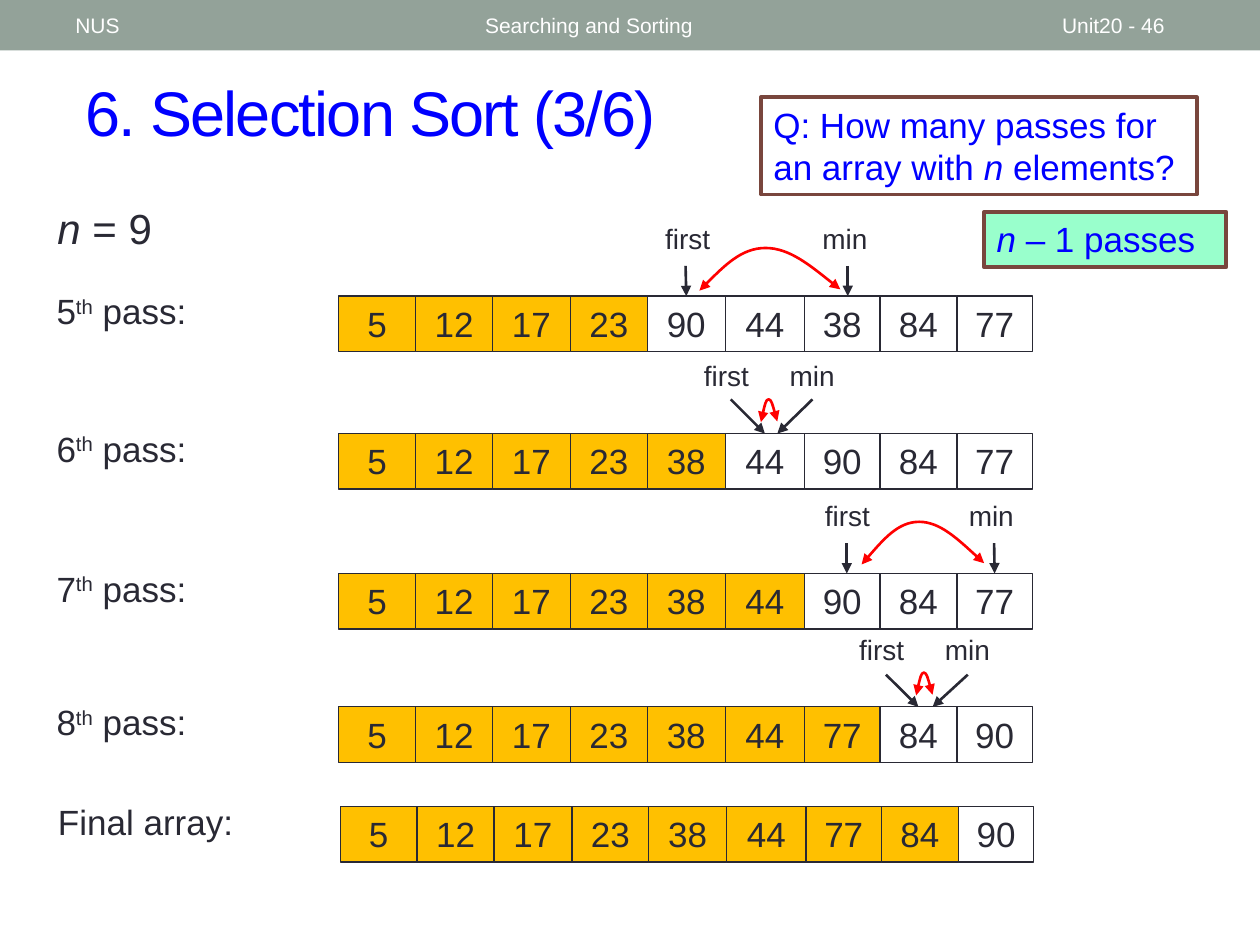
"""Build the selection sort slide showing passes five to eight and the final array."""
from dataclasses import dataclass
from itertools import accumulate

from lxml import etree
from pptx import Presentation
from pptx import util as u
from pptx.dml.color import RGBColor
from pptx.enum import shapes, text
from pptx.oxml import ns


@dataclass(frozen=True)
class Theme:
    font: str = "Arial"
    ink: str = "292934"
    blue: str = "0000FF"
    white: str = "FFFFFF"
    bar: str = "93A299"
    sorted: str = "FFC000"
    swap: str = "FF0000"
    border: str = "79463D"
    mint: str = "99FFCC"
    title: float = 36
    lead: float = 24
    body: float = 20
    tag: float = 16
    header: float = 12


@dataclass(frozen=True)
class Run:
    text: str
    italic: bool = False
    superscript: bool = False


@dataclass(frozen=True)
class Pointer:
    label: str
    left: float
    tail: float
    tip: float


@dataclass(frozen=True)
class Swap:
    start: float
    end: float
    rise: float
    height: float


@dataclass(frozen=True)
class ArrayRow:
    label: tuple[Run, ...]
    top: float
    values: tuple[int, ...]
    sorted_count: int
    shift: float = 0
    pointer_rise: float = 0.61
    pointers: tuple[Pointer, ...] = ()
    swap: Swap | None = None


T = Theme()
CELL_LEFT, CELL_HEIGHT = 6.83, 1.12
CELL_WIDTHS = (1.55, 1.55, 1.57, 1.55, 1.57, 1.6, 1.52, 1.55, 1.52)
TAG_RISE = 1.63
JOIN_TOLERANCE = u.Cm(0.06)
CURVE = ((0, 1), (0.15, 0.5), (0.3, 0), (0.47, 0), (0.64, 0), (0.82, 0.5), (1, 0.97))


def pass_label(number: int) -> tuple[Run, ...]:
    """Return the runs of an ordinal pass label."""
    return Run(str(number)), Run("th", superscript=True), Run(" pass:")


ROWS = (
    ArrayRow(pass_label(5), 5.97, (5, 12, 17, 23, 90, 44, 38, 84, 77), 4,
             pointers=(Pointer("first", 13.16, 13.82, 13.82), Pointer("min", 16.33, 17.09, 17.09)),
             swap=Swap(14.1, 16.94, 0.97, 0.86)),
    ArrayRow(pass_label(6), 8.74, (5, 12, 17, 23, 38, 44, 90, 84, 77), 5, pointer_rise=0.69,
             pointers=(Pointer("first", 13.94, 14.73, 15.44), Pointer("min", 15.67, 16.38, 15.67)),
             swap=Swap(15.34, 15.67, 0.69, 0.46)),
    ArrayRow(pass_label(7), 11.56, (5, 12, 17, 23, 38, 44, 90, 84, 77), 6,
             pointers=(Pointer("first", 16.38, 17.07, 17.07), Pointer("min", 19.28, 20.04, 20.04)),
             swap=Swap(17.37, 19.84, 1.04, 0.86)),
    ArrayRow(pass_label(8), 14.25, (5, 12, 17, 23, 38, 44, 77, 84, 90), 7, pointer_rise=0.65,
             pointers=(Pointer("first", 17.07, 17.86, 18.54), Pointer("min", 18.8, 19.51, 18.8)),
             swap=Swap(18.47, 18.8, 0.69, 0.46)),
    ArrayRow((Run("Final array:"),), 16.26, (5, 12, 17, 23, 38, 44, 77, 84, 90), 8, shift=0.03),
)


def write(sp, runs: tuple[Run, ...], size: float, color: str, middle: bool = False,
          center: bool = False, wrap: bool = True) -> None:
    """Fill a shape with one styled paragraph."""
    tf = sp.text_frame
    tf.word_wrap = wrap
    tf.vertical_anchor = text.MSO_ANCHOR.MIDDLE if middle else text.MSO_ANCHOR.TOP
    p = tf.paragraphs[0]
    p.alignment = text.PP_ALIGN.CENTER if center else text.PP_ALIGN.LEFT
    p.font.name, p.font.size = T.font, u.Pt(size)
    p.font.color.rgb = RGBColor.from_string(color)
    for run in runs:
        r = p.add_run()
        r.text = run.text
        if run.italic:
            r.font.italic = True
        if run.superscript:
            r._r.get_or_add_rPr().set("baseline", "30000")


def add_text(s, box: tuple[float, ...], runs: tuple[Run, ...], size: float,
             color: str = T.ink, **layout: bool):
    """Add a text box and return it."""
    sp = s.shapes.add_textbox(*map(u.Cm, box))
    write(sp, runs, size, color, **layout)
    return sp


def add_rect(s, box: tuple[float, ...], fill: str | None, line: str | None = None,
             width: float = 0.75):
    """Add a flat rectangle and return it."""
    sp = s.shapes.add_shape(shapes.MSO_SHAPE.RECTANGLE, *map(u.Cm, box))
    sp.shadow.inherit = False
    if fill:
        sp.fill.solid()
        sp.fill.fore_color.rgb = RGBColor.from_string(fill)
    else:
        sp.fill.background()
    if line:
        sp.line.color.rgb = RGBColor.from_string(line)
        sp.line.width = u.Pt(width)
    else:
        sp.line.fill.background()
    return sp


def style_arrow(sp, color: str, ends: tuple[str, ...]) -> None:
    """Give a line its colour, width and arrowheads."""
    sp.line.color.rgb = RGBColor.from_string(color)
    sp.line.width = u.Pt(1.5)
    ln = sp.line._get_or_add_ln()
    for end in ends:
        etree.SubElement(ln, ns.qn(f"a:{end}")).set("type", "triangle")


def add_pointer(s, row: ArrayRow, pointer: Pointer, cells: list) -> None:
    """Draw a tag with its arrow to the array."""
    y = row.top - row.pointer_rise
    sp = s.shapes.add_connector(shapes.MSO_CONNECTOR.STRAIGHT, u.Cm(pointer.tail), u.Cm(y),
                                u.Cm(pointer.tip), u.Cm(row.top))
    etree.SubElement(sp._element.spPr, ns.qn("a:effectLst"))
    style_arrow(sp, T.ink, ("tailEnd",))
    for cell in cells:
        if abs(cell.left + cell.width / 2 - u.Cm(pointer.tip)) < JOIN_TOLERANCE:
            sp.end_connect(cell, 0)
    add_text(s, (pointer.left, row.top - TAG_RISE, 1.57, 0.94), (Run(pointer.label),), T.tag,
             wrap=False)


def add_swap(s, top: float, swap: Swap) -> None:
    """Draw the curved double arrow of a swap."""
    width = swap.end - swap.start
    points = [(u.Cm(swap.start + fx * width), u.Cm(top - swap.rise + fy * swap.height))
              for fx, fy in CURVE]
    builder = s.shapes.build_freeform(*points[0])
    builder.add_line_segments(points[1:], close=False)
    sp = builder.convert_to_shape()
    sp.shadow.inherit = False
    sp.fill.background()
    style_arrow(sp, T.swap, ("headEnd", "tailEnd"))
    segments = list(sp._element.iter(ns.qn("a:lnTo")))
    outline = segments[0].getparent()
    for i in range(0, len(segments), 3):
        curve = etree.SubElement(outline, ns.qn("a:cubicBezTo"))
        for segment in segments[i:i + 3]:
            curve.append(segment[0])
            outline.remove(segment)


def add_row(s, row: ArrayRow) -> None:
    """Draw one array with its label, pointers and swap."""
    lefts = accumulate(CELL_WIDTHS, initial=CELL_LEFT + row.shift)
    cells = []
    for i, (value, left, width) in enumerate(zip(row.values, lefts, CELL_WIDTHS)):
        fill = T.sorted if i < row.sorted_count else None
        cell = add_rect(s, (left, row.top, width, CELL_HEIGHT), fill, T.ink)
        write(cell, (Run(str(value)),), T.body, T.ink, center=True)
        cells.append(cell)
    add_text(s, (0.89 + row.shift, row.top - 0.25, 4.47, CELL_HEIGHT), row.label, T.body)
    for pointer in row.pointers:
        add_pointer(s, row, pointer, cells)
    if row.swap:
        add_swap(s, row.top, row.swap)


def main() -> None:
    """Build and save the slide."""
    prs = Presentation()
    prs.slide_width, prs.slide_height = u.Cm(25.4), u.Cm(19.05)
    s = prs.slides.add_slide(prs.slide_layouts[6])
    add_rect(s, (0, 0, 25.4, 1.02), T.bar)
    title = add_text(s, (1.47, 1.07, 23.29, 2.34), (Run("6. Selection Sort (3/6)"),),
                     T.title, T.blue, middle=True)
    title.text_frame.paragraphs[0].runs[0]._r.get_or_add_rPr().set("spc", "-100")
    for left, width, label in ((9.53, 11.43, "Searching and Sorting"),
                               (21.16, 2.97, "Unit20 - 46"), (1.27, 8.05, "NUS")):
        add_text(s, (left, 0.05, width, 0.91), (Run(label),), T.header, T.white, middle=True)
    add_text(s, (0.91, 3.96, 3.53, 1.27), (Run("n", italic=True), Run(" = 9")), T.lead)
    for row in ROWS:
        add_row(s, row)
    question = (Run("Q: How many passes for an array with "), Run("n", italic=True),
                Run(" elements?"))
    answer = (Run("n ", italic=True), Run("– 1 passes"))
    for box, fill, runs in (((15.34, 1.96, 8.79, 1.96), T.white, question),
                            ((19.84, 4.27, 4.88, 1.12), T.mint, answer)):
        write(add_rect(s, box, fill, T.border, 2.08), runs, T.body, T.blue)
    prs.save("out.pptx")


if __name__ == "__main__":
    main()
